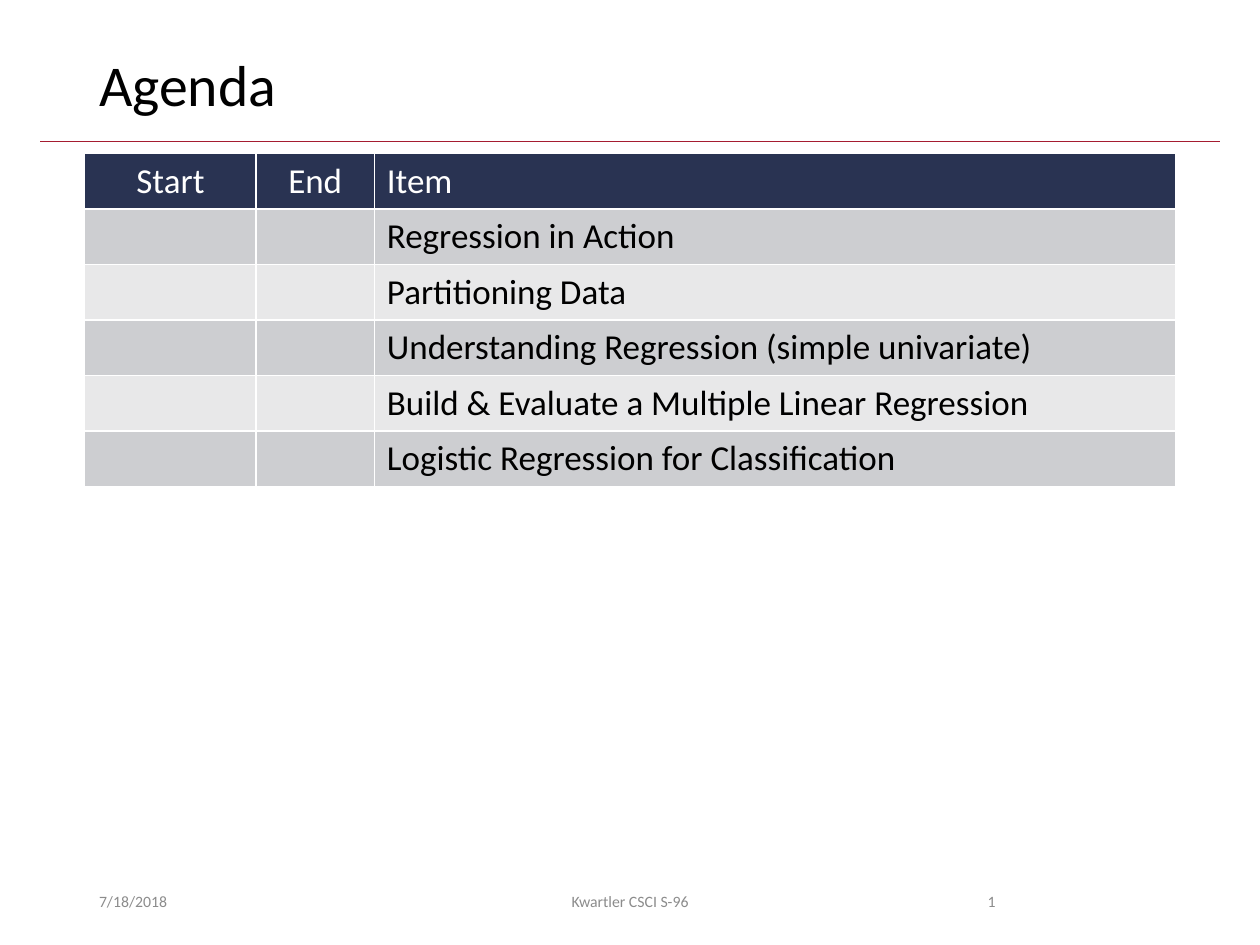
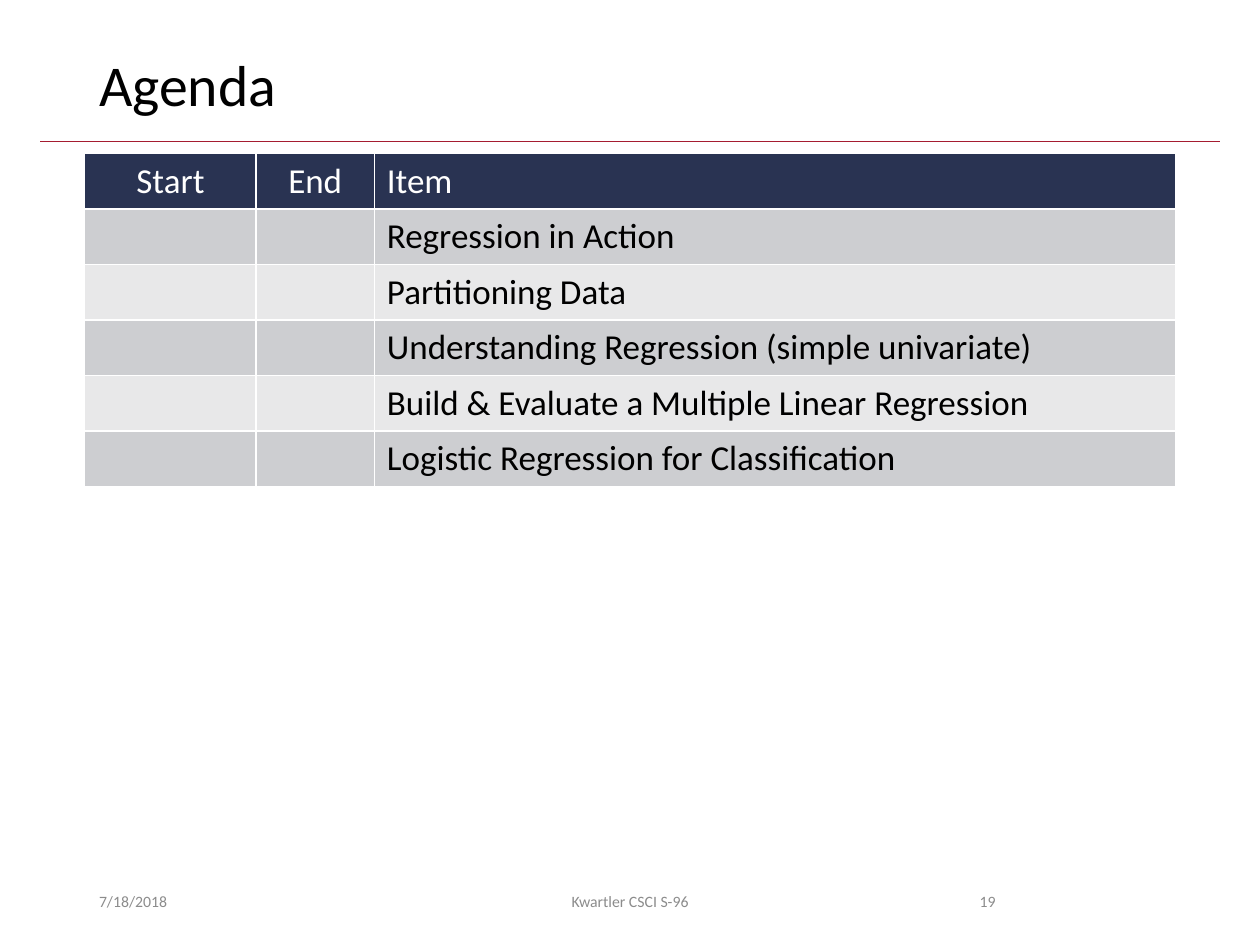
from lxml.etree import SubElement
from pptx import Presentation
from pptx.dml.color import RGBColor
from pptx.enum.shapes import MSO_CONNECTOR
from pptx.enum.text import MSO_ANCHOR, PP_ALIGN
from pptx.oxml.ns import qn
from pptx.util import Pt

FONT = "Calibri"
INK = {"text": "000000", "white": "FFFFFF", "rule": "A51C30", "head": "293352",
       "dark": "CDCED1", "light": "E8E8E9", "foot": "8C8C8C"}
LEFT, MID, RIGHT = PP_ALIGN.LEFT, PP_ALIGN.CENTER, PP_ALIGN.RIGHT

COLS = [("Start", 98, MID), ("End", 67.5, MID), ("Item", 458, LEFT)]
ITEMS = ["Regression in Action",
         "Partitioning Data",
         "Understanding Regression (simple univariate)",
         "Build & Evaluate a Multiple Linear Regression",
         "Logistic Regression for Classification"]
ROW = 31.2


def tint(name):
    return RGBColor.from_string(INK[name])


def write(frame, text, size=20, color="text", align=LEFT, anchor=MSO_ANCHOR.TOP,
          spacing=None):
    frame.word_wrap = True
    frame.vertical_anchor = anchor
    para = frame.paragraphs[0]
    para.alignment = align
    para.line_spacing = spacing
    run = para.add_run()
    run.text = text
    font = run.font
    font.name, font.size, font.bold = FONT, Pt(size), False
    font.color.rgb = tint(color)


def place(shape, left, top, width, height):
    shape.left, shape.top = Pt(left), Pt(top)
    shape.width, shape.height = Pt(width), Pt(height)


def add_title(slide, text):
    title = slide.shapes.title
    place(title, 49.5, 28.8, 621, 46.8)
    write(title.text_frame, text, size=33, spacing=0.9)


def add_rule(slide):
    rule = slide.shapes.add_connector(MSO_CONNECTOR.STRAIGHT,
                                      Pt(23), Pt(80.8), Pt(697), Pt(80.8))
    rule.line.color.rgb = tint("rule")
    rule.line.width = Pt(0.5)
    SubElement(rule.element.spPr, qn("a:effectLst"))


def add_edges(cell):
    props = cell._tc.get_or_add_tcPr()
    for side in ("lnL", "lnR", "lnT", "lnB"):
        edge = SubElement(props, qn(f"a:{side}"), w=str(int(Pt(1))))
        fill = SubElement(edge, qn("a:solidFill"))
        SubElement(fill, qn("a:srgbClr"), val=INK["white"])


def add_agenda(slide):
    rows = len(ITEMS) + 1
    width = sum(col[1] for col in COLS)
    table = slide.shapes.add_table(rows, len(COLS), Pt(48.4), Pt(87.8),
                                   Pt(width), Pt(ROW * rows)).table
    # Header cells
    for c, (head, wide, align) in enumerate(COLS):
        table.columns[c].width = Pt(wide)
        write(table.cell(0, c).text_frame, head, color="white", align=align)
    # Topics in the last column
    for r, item in enumerate(ITEMS, 1):
        write(table.cell(r, len(COLS) - 1).text_frame, item)
    # Bands and white grid
    for r, row in enumerate(table.rows):
        band = "head" if r == 0 else "dark" if r % 2 else "light"
        for cell in row.cells:
            add_edges(cell)
            cell.fill.solid()
            cell.fill.fore_color.rgb = tint(band)


def add_foot(slide, page):
    parts = [("7/18/2018", 49.5, 162, LEFT),
             ("Kwartler CSCI S-96", 238.5, 243, MID),
             (str(page), 508.5, 67.5, RIGHT)]
    for text, left, width, align in parts:
        box = slide.shapes.add_textbox(Pt(left), Pt(500.5), Pt(width), Pt(28.8))
        write(box.text_frame, text, size=9, color="foot", align=align,
              anchor=MSO_ANCHOR.MIDDLE)


def main():
    deck = Presentation()
    deck.slide_width, deck.slide_height = Pt(720), Pt(540)
    for page in (1, 19):
        slide = deck.slides.add_slide(deck.slide_layouts[5])
        add_rule(slide)
        add_title(slide, "Agenda")
        add_agenda(slide)
        add_foot(slide, page)
    deck.save("out.pptx")


if __name__ == "__main__":
    main()
